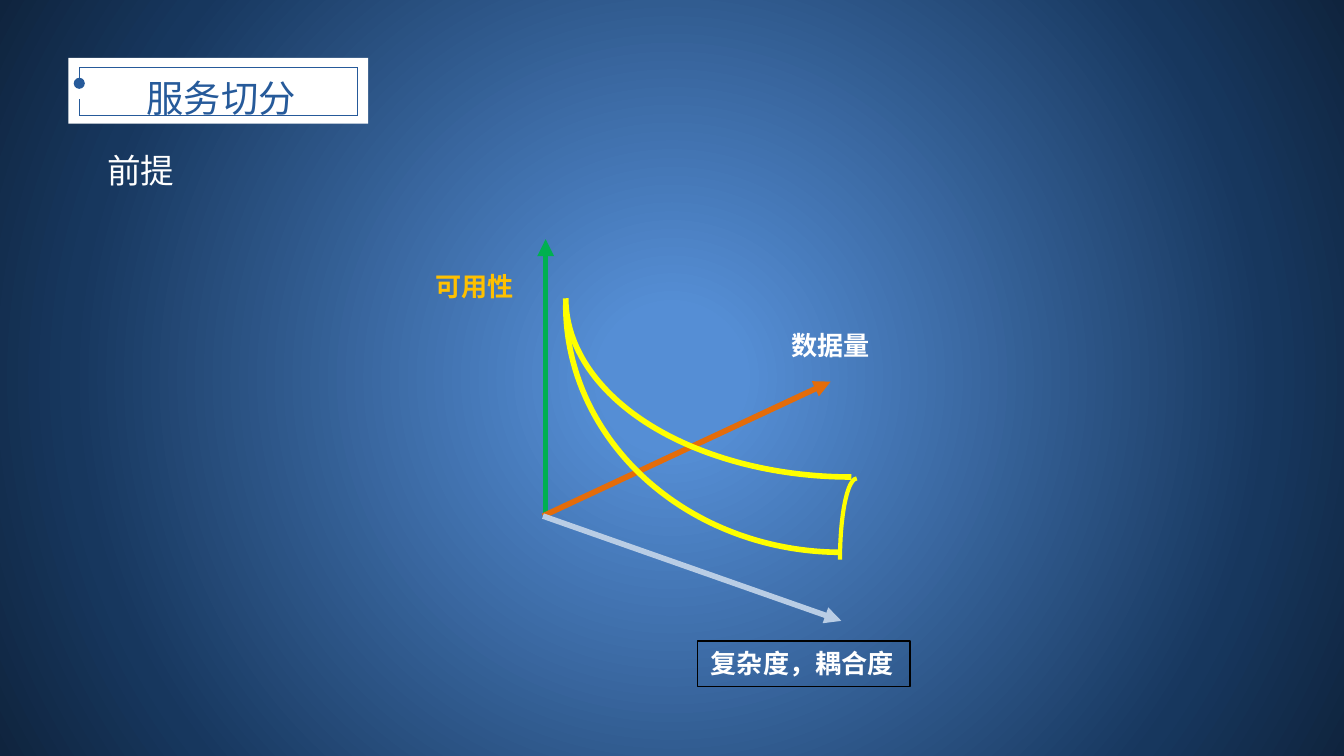
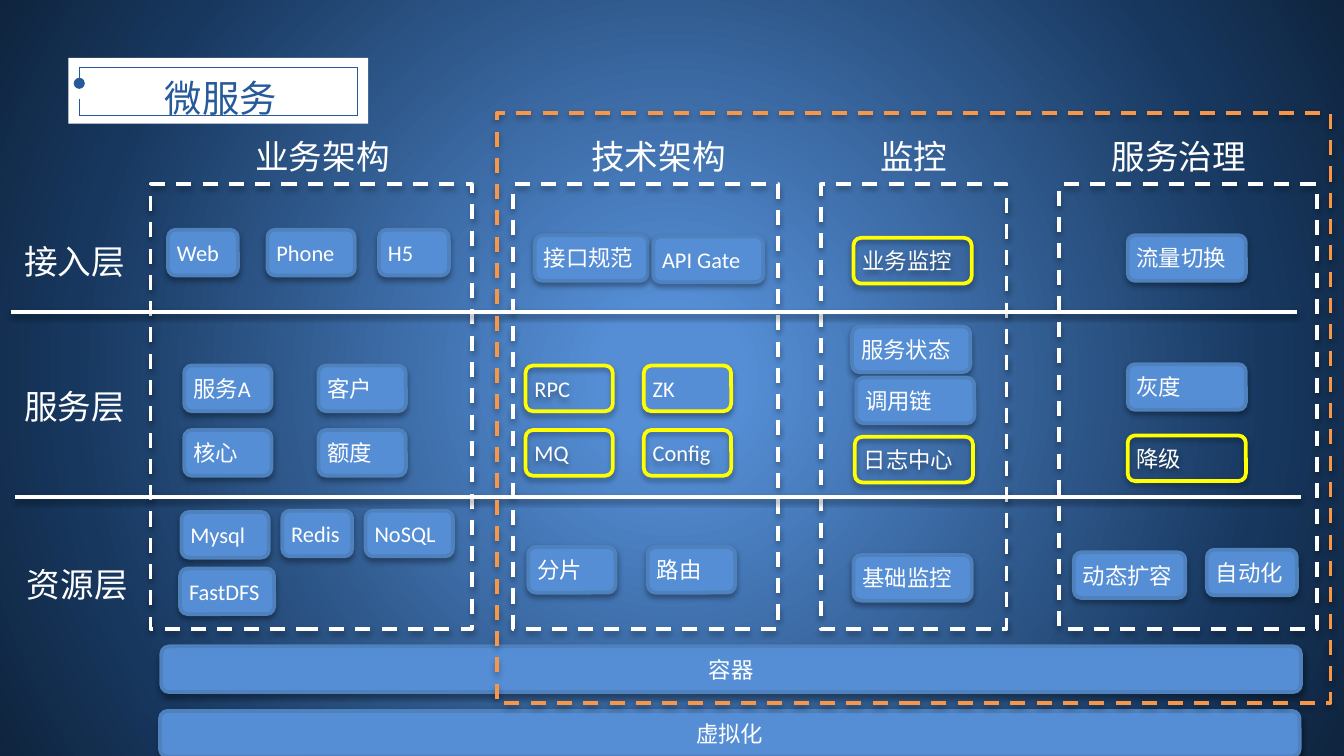
import dataclasses

import lxml.etree
import pptx
import pptx.dml.color
import pptx.enum.dml
import pptx.enum.shapes
import pptx.enum.text
import pptx.oxml.ns
import pptx.util

SLIDE_WIDTH = 10
SLIDE_HEIGHT = SLIDE_WIDTH * 9 / 16
COLUMNS = 100
UNIT = SLIDE_WIDTH / COLUMNS

WHITE = "FFFFFF"
BLACK = "000000"
NAVY = "265A9A"
BLUE = "558ED5"
EDGE_BLUE = "4F81BD"
YELLOW = "FFFF00"
ORANGE = "F79646"
BACKDROP = [(9, BLUE), (78, "17375E"), (100, "0F243E")]

CJK_FONT = "Noto Sans CJK SC"
BODY_FONT = "Calibri"
SERVICE_HEIGHT = 3.4
LABEL_HEIGHT = 4
SHAPE_SHADOW = (35, 3, 1.8)
LINE_SHADOW = (38, 3.1, 1.6)

SHAPES = pptx.enum.shapes.MSO_SHAPE
ALIGN = pptx.enum.text.PP_ALIGN
ANCHOR = pptx.enum.text.MSO_ANCHOR


@dataclasses.dataclass
class Box:
    left: float
    top: float
    width: float
    height: float

    def within(self, left, top, width, height):
        return Box(self.left + left, self.top + top, width, height)

    def point(self, column, row):
        return self.left + column, self.top + row

    def lengths(self):
        return [grid(value) for value in (self.left, self.top, self.width, self.height)]


def grid(cells):
    return pptx.util.Inches(cells * UNIT)


def color(value):
    return pptx.dml.color.RGBColor.from_string(value)


def add_element(parent, tag, **attributes):
    return lxml.etree.SubElement(parent, pptx.oxml.ns.qn(tag), attributes)


def set_background(master):
    master.background.fill.gradient()
    gradient = next(master.element.iter(pptx.oxml.ns.qn("a:gradFill")))
    gradient.clear()
    stops = add_element(gradient, "a:gsLst")
    for position, value in BACKDROP:
        stop = add_element(stops, "a:gs", pos=str(position * 1000))
        add_element(stop, "a:srgbClr", val=value)
    circle = add_element(gradient, "a:path", path="circle")
    add_element(circle, "a:fillToRect", l="50000", t="50000", r="50000", b="50000")


def set_line(line, value, width, dashed=False):
    line.color.rgb = color(value)
    line.width = pptx.util.Pt(width)
    if dashed:
        line.dash_style = pptx.enum.dml.MSO_LINE.DASH


def set_shadow(shape, shadow):
    effects = add_element(shape.element.spPr, "a:effectLst")
    if shadow:
        opacity, blur, distance = shadow
        outer = add_element(
            effects, "a:outerShdw", blurRad=str(pptx.util.Pt(blur)),
            dist=str(pptx.util.Pt(distance)), dir="5400000", rotWithShape="0")
        tone = add_element(outer, "a:srgbClr", val=BLACK)
        add_element(tone, "a:alpha", val=str(opacity * 1000))


def add_box(shapes, kind, box, fill=None, line=None, width=2, dashed=False, shadow=None):
    shape = shapes.add_shape(kind, *box.lengths())
    if fill:
        shape.fill.solid()
        shape.fill.fore_color.rgb = color(fill)
    else:
        shape.fill.background()
    if line:
        set_line(shape.line, line, width, dashed)
    else:
        shape.line.fill.background()
    set_shadow(shape, shadow)
    return shape


def add_line(shapes, start, end, value, width, tail=None, shadow=None):
    connector = shapes.add_connector(
        pptx.enum.shapes.MSO_CONNECTOR.STRAIGHT, *map(grid, start + end))
    set_line(connector.line, value, width)
    if tail:
        outline = connector.element.spPr.find(pptx.oxml.ns.qn("a:ln"))
        add_element(outline, "a:tailEnd", type=tail)
    set_shadow(connector, shadow)


def set_text(shape, text, size, name=BODY_FONT, value=WHITE, bold=False, align=ALIGN.LEFT,
             anchor=ANCHOR.TOP, wrap=False, inset=0.5, spacing=None):
    frame = shape.text_frame
    frame.word_wrap = wrap
    frame.auto_size = pptx.enum.text.MSO_AUTO_SIZE.SHAPE_TO_FIT_TEXT
    frame.vertical_anchor = anchor
    frame.margin_left = frame.margin_right = grid(inset)
    frame.margin_top = frame.margin_bottom = grid(0.5)
    paragraph = frame.paragraphs[0]
    paragraph.text = text
    paragraph.alignment = align
    if spacing:
        paragraph.line_spacing = spacing
    font = paragraph.font
    font.size = pptx.util.Pt(size)
    font.name = name
    font.bold = bold
    font.color.rgb = color(value)
    defaults = next(shape.element.iter(pptx.oxml.ns.qn("a:defRPr")))
    add_element(defaults, "a:ea", typeface=CJK_FONT)


def add_label(slide, box, text, size=18, **style):
    set_text(slide.shapes.add_textbox(*box.lengths()), text, size, **style)


def add_title(slide, box, text):
    plate = slide.shapes.add_group_shape().shapes
    add_box(plate, SHAPES.RECTANGLE, box, fill=WHITE)
    left, right, top, bottom, gap = 0.8, 21.5, 0.7, 4.3, 1.2
    edges = [
        ((left, top), (right, top), None),
        ((right, top), (right, bottom), None),
        ((right, bottom), (left, bottom), None),
        ((left, top), (left, top + gap), "oval"),
        ((left, bottom), (left, bottom - gap), None),
    ]
    for start, end, tail in edges:
        add_line(plate, box.point(*start), box.point(*end), NAVY, 0.25, tail)
    title = slide.shapes.title
    title.left, title.top, title.width, title.height = box.within(1.2, -0.9, 20.3, 5.5).lengths()
    set_text(title, text, 20, CJK_FONT, NAVY, align=ALIGN.CENTER, wrap=True, inset=1, spacing=1.5)
    title.element.getparent().append(title.element)


def add_titled_slide(presentation, text):
    slide = presentation.slides.add_slide(presentation.slide_layouts[5])
    add_title(slide, Box(5.1, 4.3, 22.3, 4.9), text)
    return slide


def add_axes(slide, box):
    label_style = {"name": CJK_FONT, "bold": True, "inset": 1}
    add_label(slide, box.within(26.5, 6.2, 7.9, 3.4), "数据量", 14, **label_style)
    complexity = add_box(slide.shapes, SHAPES.RECTANGLE, box.within(20.5, 29.9, 15.8, 3.4),
                         line=BLACK, width=0.75)
    set_text(complexity, "复杂度，耦合度", 14, **label_style)
    add_label(slide, box.within(0, 1.8, 7.9, 3.4), "可用性", 14, value="FFC000", **label_style)

    origin_row = 20.6
    axes = [
        (9.2, (9.2, 0), "00B050"),
        (9, (30.4, 10.6), "E46C0A"),
        (9, (31.2, 28.4), "B9CDE5"),
    ]
    for start, end, value in axes:
        add_line(slide.shapes, box.point(start, origin_row), box.point(*end), value, 3, "triangle")


def add_surface(slide, box):
    curves = [
        (box.within(0, 4.6, 42.5, 26.6), 3, ("flipH", "flipV")),
        (box.within(0, 0, 41, 36.8), 3, ("flipH", "flipV")),
        (box.within(20.4, 31.3, 2.5, 12.1), 2.25, ("flipH",)),
    ]
    for place, width, flips in curves:
        curve = add_box(slide.shapes, SHAPES.ARC, place, line=YELLOW, width=width)
        for flip in flips:
            curve.element.spPr.xfrm.set(flip, "1")


def build_premise_slide(presentation):
    slide = add_titled_slide(presentation, "服务切分")
    add_label(slide, Box(7, 10.7, 7.1, LABEL_HEIGHT), "前提", inset=1)
    add_axes(slide, Box(31.4, 17.8, 36.3, 33.3))
    add_surface(slide, Box(42.1, 4.3, 42.5, 43.4))


def add_service(slide, box, text, highlight=None, align=ALIGN.LEFT):
    fill = None if highlight == "outline" else BLUE
    line = YELLOW if highlight else EDGE_BLUE
    service = add_box(slide.shapes, SHAPES.ROUNDED_RECTANGLE, box, fill, line, shadow=SHAPE_SHADOW)
    set_text(service, text, 12, align=align, anchor=ANCHOR.MIDDLE, wrap=True)


def add_dashed_frame(slide, box, value):
    add_box(slide.shapes, SHAPES.RECTANGLE, box, line=value, dashed=True, shadow=SHAPE_SHADOW)


def add_architecture(slide, box, heading, heading_left, heading_width, services):
    add_dashed_frame(slide, box, WHITE)
    add_label(slide, box.within(heading_left, -4.1, heading_width, LABEL_HEIGHT), heading)
    for text, left, top, width, *highlight in services:
        add_service(slide, box.within(left, top, width, SERVICE_HEIGHT), text, *highlight)


def add_layers(slide, box):
    for text, left, top in [("接入层", 0.5, 3.7), ("服务层", 0.5, 14.5), ("资源层", 0.7, 27.8)]:
        add_label(slide, box.within(left, top, 8.6, LABEL_HEIGHT), text)
    for left, row in [(0, 9.5), (0.3, 23.3)]:
        add_line(slide.shapes, box.point(left, row), box.point(left + box.width, row),
                 WHITE, 2, shadow=LINE_SHADOW)


def add_foundations(slide, box):
    for text, left, top in [("容器", 0.1, 0), ("虚拟化", 0, 4.8)]:
        add_service(slide, box.within(left, top, box.width, SERVICE_HEIGHT), text,
                    align=ALIGN.CENTER)


def build_microservice_slide(presentation):
    slide = add_titled_slide(presentation, "微服务")
    architectures = [
        (11.2, 23.9, "业务架构", 7.3, 11.1, [
            ("Web", 1.3, 3.4, 5.2), ("Phone", 8.7, 3.4, 6.5), ("H5", 17, 3.4, 5.2),
            ("服务A", 2.5, 13.5, 6.5), ("客户", 12.5, 13.5, 6.5),
            ("核心", 2.5, 18.3, 6.5), ("额度", 12.5, 18.3, 6.5),
            ("Mysql", 2.3, 24.4, 6.5), ("Redis", 9.8, 24.3, 5.2), ("NoSQL", 16, 24.3, 6.5),
            ("FastDFS", 2.2, 28.6, 7),
        ]),
        (38.2, 19.7, "技术架构", 5.3, 11.4, [
            ("接口规范", 1.6, 3.8, 8.4), ("API Gate", 10.4, 3.9, 8.2),
            ("RPC", 0.9, 13.5, 6.5, "outline"), ("ZK", 9.7, 13.5, 6.5, "filled"),
            ("MQ", 0.9, 18.3, 6.5, "outline"), ("Config", 9.7, 18.3, 6.5, "outline"),
            ("分片", 1.1, 27, 6.5), ("路由", 10, 27, 6.5),
        ]),
        (61.1, 13.8, "监控", 3.9, 6.1, [
            ("业务监控", 2.4, 4, 8.8, "outline"),
            ("服务状态", 2.3, 10.6, 8.8), ("调用链", 2.6, 14.4, 8.8),
            ("日志中心", 2.5, 18.8, 8.8, "outline"),
            ("基础监控", 2.4, 27.6, 8.8),
        ]),
        (78.8, 19.2, "服务治理", 3.4, 11.1, [
            ("流量切换", 5.1, 3.8, 8.8),
            ("灰度", 5.1, 13.4, 8.8), ("降级", 5.1, 18.7, 8.8, "outline"),
            ("动态扩容", 1.1, 27.4, 8.3), ("自动化", 11, 27.2, 6.7),
        ]),
    ]
    for left, width, heading, heading_left, heading_width, services in architectures:
        add_architecture(slide, Box(left, 13.7, width, 33.1), heading, heading_left,
                         heading_width, services)
    add_layers(slide, Box(0.8, 13.7, 95.7, 33.1))
    add_foundations(slide, Box(11.9, 48.1, 84.8, 8.2))
    add_dashed_frame(slide, Box(37, 8.4, 62, 43.9), ORANGE)


def main():
    presentation = pptx.Presentation()
    presentation.slide_width = pptx.util.Inches(SLIDE_WIDTH)
    presentation.slide_height = pptx.util.Inches(SLIDE_HEIGHT)
    set_background(presentation.slide_master)
    build_premise_slide(presentation)
    build_microservice_slide(presentation)
    presentation.save("out.pptx")


if __name__ == "__main__":
    main()
